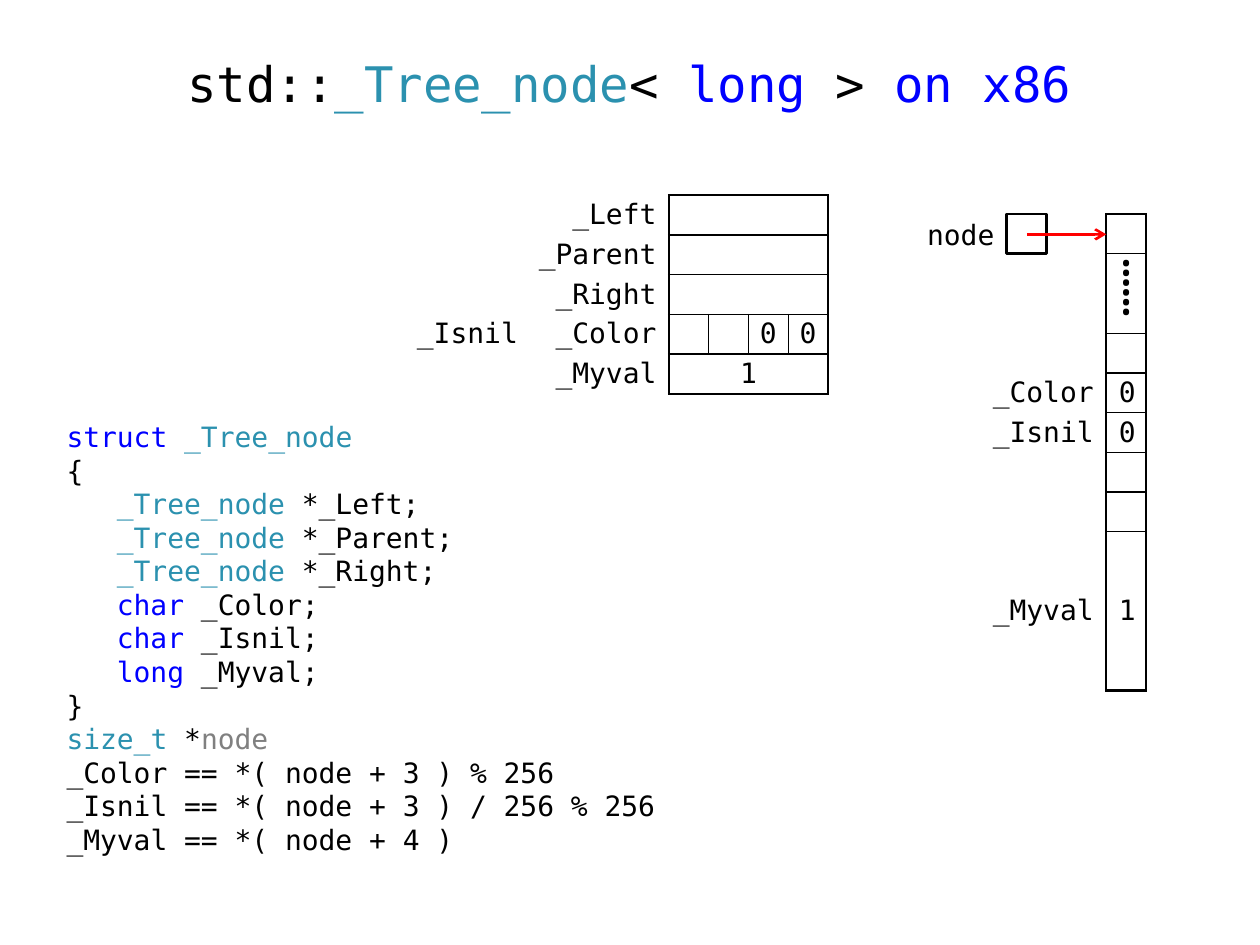
import pptx
import pptx.util
import pptx.dml.color
import pptx.enum.shapes
import pptx.enum.text
import pptx.oxml
import pptx.oxml.ns

Inches = pptx.util.Inches
Pt = pptx.util.Pt
Align = pptx.enum.text.PP_ALIGN
Anchor = pptx.enum.text.MSO_ANCHOR

BLACK, WHITE, RED = "000000", "FFFFFF", "FF0000"
TYPE, KEYWORD, GRAY = "2B91AF", "0000FF", "808080"
WORD = 1.26
BYTE = WORD / 4
LABEL = 1.1
THICK, THIN = 1.5, 0.75
PLAIN_STYLE = "{2D5ABB26-0587-4C30-8999-92F81FD0307C}"


def color(value):
    return pptx.dml.color.RGBColor.from_string(value)


def element(xml):
    namespace = pptx.oxml.ns.nsdecls("a")
    return pptx.oxml.parse_xml(xml.replace(" ", f" {namespace} ", 1))


class Sketch:
    font, size = "DejaVu Sans Mono", 16

    def __init__(self, presentation):
        self.slide = presentation.slides.add_slide(presentation.slide_layouts[5])
        self.shapes = self.slide.shapes

    def add_runs(self, paragraph, runs, size=size, font=font):
        for text, fill in runs:
            run = paragraph.add_run()
            run.text = text
            run.font.name = font
            run.font.size = Pt(size)
            run.font.color.rgb = color(fill)

    def title(self, box, runs):
        shape = self.shapes.title
        shape.left, shape.top, shape.width, shape.height = map(Inches, box)
        shape.text_frame.vertical_anchor = Anchor.MIDDLE
        paragraph = shape.text_frame.paragraphs[0]
        paragraph.alignment = Align.CENTER
        paragraph.line_spacing = 0.9
        self.add_runs(paragraph, runs, 28)

    def text_box(self, box):
        frame = self.shapes.add_textbox(*map(Inches, box)).text_frame
        frame.word_wrap = True
        return frame

    def code(self, box, lines):
        frame = self.text_box(box)
        for index, (indent, runs) in enumerate(lines):
            paragraph = frame.add_paragraph() if index else frame.paragraphs[0]
            paragraph.line_spacing = Pt(19.2)
            if indent:
                paragraph._p.get_or_add_pPr().set("marL", str(Inches(indent)))
            self.add_runs(paragraph, runs)

    def label(self, box, text):
        frame = self.text_box(box)
        frame.margin_top = frame.margin_bottom = 0
        frame.vertical_anchor = Anchor.MIDDLE
        frame.paragraphs[0].alignment = Align.RIGHT
        self.add_runs(frame.paragraphs[0], [(text, BLACK)])

    def square(self, left, top, side):
        shape = self.shapes.add_shape(
            pptx.enum.shapes.MSO_SHAPE.RECTANGLE, *map(Inches, (left, top, side, side)))
        shape.shadow.inherit = False
        shape.fill.solid()
        shape.fill.fore_color.rgb = color(WHITE)
        shape.line.color.rgb = color(BLACK)
        shape.line.width = Pt(THICK)

    def arrow(self, start, end, y):
        connector = self.shapes.add_connector(
            pptx.enum.shapes.MSO_CONNECTOR.STRAIGHT, *map(Inches, (start, y, end, y)))
        connector.line.color.rgb = color(RED)
        connector.line.width = Pt(THICK)
        connector.line._get_or_add_ln().append(element('<a:tailEnd type="arrow"/>'))
        connector._element.spPr.append(element("<a:effectLst />"))

    def table(self, left, top, columns, rows):
        frame = self.shapes.add_table(
            len(rows), len(columns), *map(Inches, (left, top, sum(columns), sum(rows))))
        table = frame.table
        table.first_row = table.horz_banding = False
        table._tbl.tblPr.find(pptx.oxml.ns.qn("a:tableStyleId")).text = PLAIN_STYLE
        for column, width in zip(table.columns, columns):
            column.width = Inches(width)
        for row, height in zip(table.rows, rows):
            row.height = Inches(height)
        for cell in table.iter_cells():
            cell.fill.background()
            cell.margin_top = cell.margin_bottom = 0
            cell.vertical_anchor = Anchor.MIDDLE
        return table

    def cell(self, table, row, column, text="", span=(1, 1), align=Align.RIGHT,
             borders=None, margin=0.1, size=size, font=font):
        cell = table.cell(row, column)
        if span != (1, 1):
            cell.merge(table.cell(row + span[0] - 1, column + span[1] - 1))
        cell.margin_left = cell.margin_right = Inches(margin)
        if text:
            cell.text_frame.paragraphs[0].alignment = align
            self.add_runs(cell.text_frame.paragraphs[0], [(text, BLACK)], size, font)
        if borders:
            for r in range(row, row + span[0]):
                for c in range(column, column + span[1]):
                    self.borders(table.cell(r, c), borders)
        return cell

    def borders(self, cell, widths):
        properties = cell._tc.get_or_add_tcPr()
        for index, (side, width) in enumerate(zip("LRTB", widths)):
            properties.insert(index, element(
                f'<a:ln{side} w="{Pt(width)}"><a:solidFill><a:srgbClr val="{BLACK}"/>'
                f"</a:solidFill></a:ln{side}>"))


def edge(outer):
    return THICK if outer else THIN


presentation = pptx.Presentation()
presentation.slide_width, presentation.slide_height = Inches(10), Inches(7.5)
sketch = Sketch(presentation)

sketch.title((0.43, 0.29, 9.13, 0.79), [
    ("std::", BLACK), ("_Tree_node", TYPE), ("< ", BLACK),
    ("long ", KEYWORD), (">", BLACK), (" on x86", KEYWORD)])

members = [("_Tree_node", TYPE, " *_Left;"), ("_Tree_node", TYPE, " *_Parent;"),
           ("_Tree_node", TYPE, " *_Right;"), ("char", KEYWORD, " _Color;"),
           ("char", KEYWORD, " _Isnil;"), ("long", KEYWORD, " _Myval;")]
formulas = ["_Color == *( node + 3 ) % 256", "_Isnil == *( node + 3 ) / 256 % 256",
            "_Myval == *( node + 4 )"]
sketch.code((0.43, 3.28, 6.46, 3.62), [
    (0, [("struct ", KEYWORD), ("_Tree_node", TYPE)]),
    (0, [("{", BLACK)]),
    *[(0.4, [(kind, fill), (name, BLACK)]) for kind, fill, name in members],
    (0, [("}", BLACK)]),
    (0, [("size_t", TYPE), (" *", BLACK), ("node", GRAY)]),
    *[(0, [(formula, BLACK)]) for formula in formulas]])

memory = sketch.table(7.68, 1.7, [LABEL, BYTE], [BYTE] * 8 + [WORD])
memory_values = {4: ("_Color", "0"), 5: ("_Isnil", "0"), 8: ("_Myval", "1")}
for row in (0, 3, 4, 5, 6, 7, 8):
    name, value = memory_values.get(row, ("", ""))
    sketch.cell(memory, row, 0, name)
    sketch.cell(memory, row, 1, value, align=Align.CENTER,
                borders=(THICK, THICK, edge(row == 0), edge(row == 8)))
gap = sketch.cell(memory, 1, 1, "\u2e3d", (2, 1), Align.CENTER,
                  (THICK, THICK, THIN, THIN), size=28, font="Times New Roman")
gap.margin_bottom = Inches(0.08)

sketch.label((7.2, 1.7, 0.79, BYTE), "node")
sketch.square(7.99, 1.7, BYTE)
sketch.arrow(8.15, 8.78, 1.86)

layout = sketch.table(3.11, 1.55, [LABEL] * 2 + [BYTE] * 4, [BYTE] * 5)
for row, (name, value) in enumerate(
        [("_Left", ""), ("_Parent", ""), ("_Right", ""), ("_Color", ""), ("_Myval", "1")]):
    if name == "_Color":
        sketch.cell(layout, row, 0, "_Isnil")
        sketch.cell(layout, row, 1, name)
        for index, byte in enumerate(["", "", "0", "0"]):
            sketch.cell(layout, row, index + 2, byte, align=Align.CENTER, margin=0.08,
                        borders=(edge(index == 0), edge(index == 3), THIN, THIN))
    else:
        sketch.cell(layout, row, 0, name, (1, 2))
        sketch.cell(layout, row, 2, value, (1, 4), Align.CENTER,
                    (THICK, THICK, edge(row == 0), edge(row == 4)), 0.08)

presentation.save("out.pptx")
